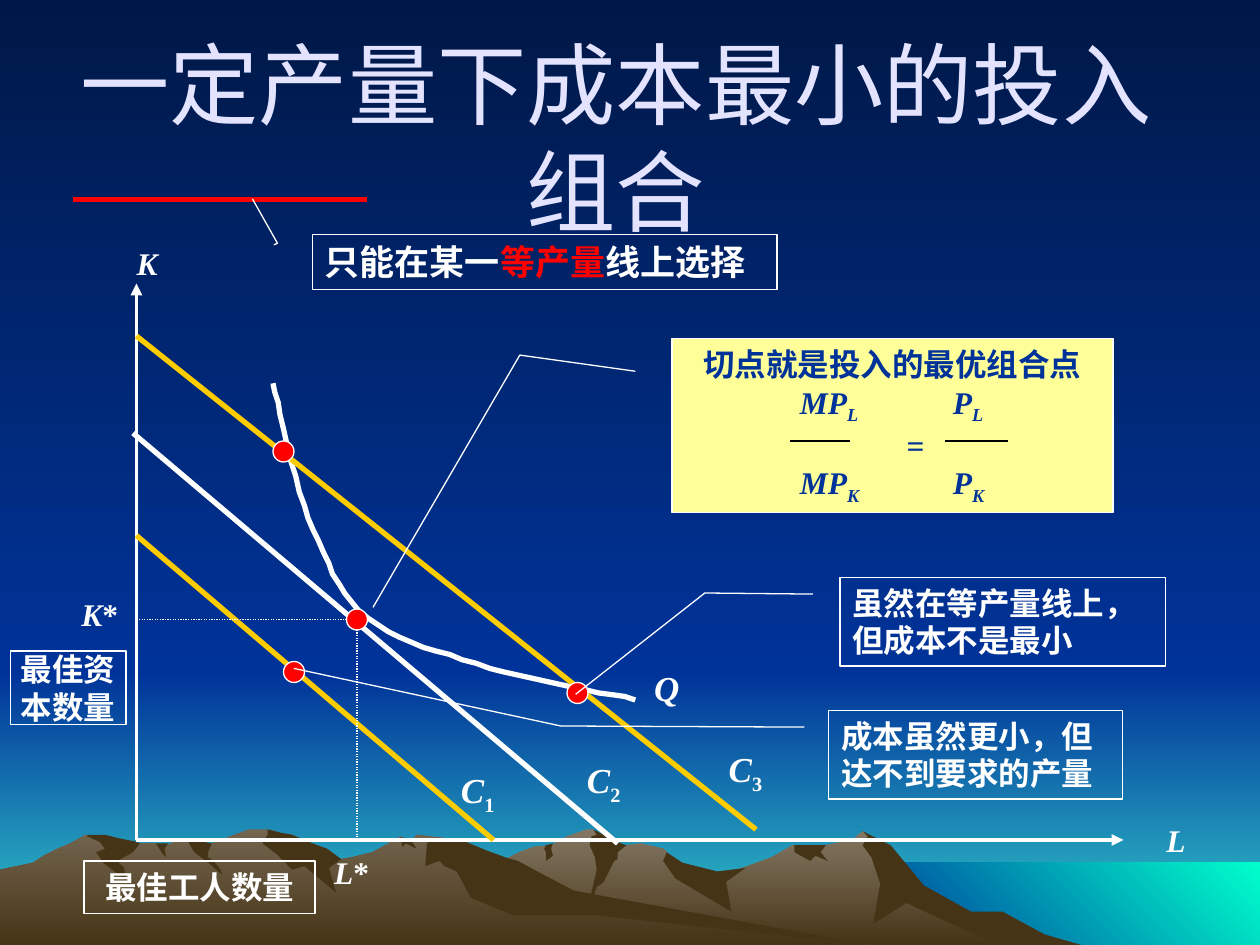
"""Build the slide on choosing the least-cost input mix for a given output."""
import dataclasses

import lxml.etree
import pptx
import pptx.dml.color
import pptx.enum.dml
import pptx.enum.shapes
import pptx.enum.text
import pptx.oxml.ns
import pptx.util

Pt = pptx.util.Pt
SHAPE = pptx.enum.shapes.MSO_SHAPE
ALIGN = pptx.enum.text.PP_ALIGN
ANCHOR = pptx.enum.text.MSO_ANCHOR
SIZING = pptx.enum.text.MSO_AUTO_SIZE
qn = pptx.oxml.ns.qn


@dataclasses.dataclass(frozen=True)
class Theme:
    night: str = "001847"
    blue: str = "003399"
    teal: str = "33CCCC"
    aqua: str = "00FFCC"
    rock: str = "463416"
    light_rock: str = "847864"
    mid_rock: str = "73654F"
    lilac: str = "E3E3FF"
    white: str = "FFFFFF"
    gold: str = "FFCC00"
    red: str = "FF0000"
    cream: str = "FFFF99"
    black: str = "000000"
    title_size: int = 51
    label_size: int = 20
    note_size: int = 18
    title_font: str = "Arial"
    body_font: str = "Times New Roman"
    thin: float = 0.75
    axis: float = 2.25
    thick: float = 3


class SlideBuilder:
    def __init__(self, slide, theme):
        self.slide, self.theme = slide, theme

    def rgb(self, value):
        return pptx.dml.color.RGBColor.from_string(value)

    def paint(self, fill, colour, angle=270):
        if colour is None:
            fill.background()
        elif isinstance(colour, str):
            fill.solid()
            fill.fore_color.rgb = self.rgb(colour)
        else:
            fill.gradient()
            fill.gradient_angle = angle
            for stop, value in zip(fill.gradient_stops, colour):
                stop.color.rgb = self.rgb(value)

    def finish(self, shape, fill=None, line=None, width=0.75, angle=270):
        shape.shadow.inherit = False
        self.paint(shape.fill, fill, angle)
        self.paint(shape.line.fill, line)
        if line:
            shape.line.width = Pt(width)
        return shape

    def shape(self, kind, frame, adjustments=(), **look):
        shape = self.slide.shapes.add_shape(kind, *map(Pt, frame))
        for index, value in enumerate(adjustments):
            shape.adjustments[index] = value
        return self.finish(shape, **look)

    def outline(self, points, close=True, **look):
        builder = self.slide.shapes.build_freeform(*points[0], scale=Pt(1))
        builder.add_line_segments(points[1:], close=close)
        return self.finish(builder.convert_to_shape(), **look)

    def curve(self, start, bends, steps=10, **look):
        points = [start]
        for bend in bends:
            knots = (points[-1], *bend)
            for step in range(1, steps + 1):
                t = step / steps
                weights = ((1 - t) ** 3, 3 * t * (1 - t) ** 2, 3 * t * t * (1 - t), t ** 3)
                points.append(tuple(sum(w * knot[axis] for w, knot in zip(weights, knots))
                                    for axis in (0, 1)))
        return self.outline(points, close=False, **look)

    def line(self, start, end, colour, width, arrow=False, dotted=False):
        line = self.slide.shapes.add_connector(
            pptx.enum.shapes.MSO_CONNECTOR.STRAIGHT, *map(Pt, (*start, *end)))
        self.paint(line.line.fill, colour)
        line.line.width = Pt(width)
        if dotted:
            line.line.dash_style = pptx.enum.dml.MSO_LINE.ROUND_DOT
        properties = line.element.spPr
        if arrow:
            lxml.etree.SubElement(properties.find(qn("a:ln")), qn("a:tailEnd"), type="triangle")
        lxml.etree.SubElement(properties, qn("a:effectLst"))

    def dot(self, x, y):
        self.shape(SHAPE.FLOWCHART_CONNECTOR, (x - 6, y - 6, 12, 12),
                   fill=self.theme.red, line=self.theme.white)

    def fill_text(self, box, paragraphs, align=ALIGN.CENTER, wrap=False, sizing=SIZING.NONE,
                  anchor=ANCHOR.MIDDLE, tabs=(), **formats):
        frame = box.text_frame
        layout = {"word_wrap": wrap, "auto_size": sizing, "vertical_anchor": anchor}
        for name, value in layout.items():
            setattr(frame, name, value)
        base = {"name": self.theme.body_font, "size": self.theme.note_size,
                "bold": True, "color": self.theme.white, **formats}
        for index, runs in enumerate(paragraphs):
            para = frame.add_paragraph() if index else frame.paragraphs[0]
            tabbed = runs[0][0].startswith("\t")
            para.alignment = ALIGN.LEFT if tabbed else align
            if tabbed:
                tab_list = lxml.etree.SubElement(
                    box.element.findall(".//" + qn("a:pPr"))[-1], qn("a:tabLst"))
                for stop in tabs[index]:
                    lxml.etree.SubElement(tab_list, qn("a:tab"), pos=str(Pt(stop)), algn="l")
            for text, changes in runs:
                span = para.add_run()
                span.text = text
                style = {**base, **changes}
                span.font.color.rgb = self.rgb(style.pop("color"))
                span.font.size = Pt(style.pop("size"))
                baseline = style.pop("baseline", None)
                for name, value in style.items():
                    setattr(span.font, name, value)
                if baseline:
                    box.element.findall(".//" + qn("a:rPr"))[-1].set("baseline", str(baseline))

    def text(self, frame, *runs, **style):
        self.fill_text(self.slide.shapes.add_textbox(*map(Pt, frame)), [runs], **style)

    def callout(self, frame, pointer, paragraphs, fill=None, align=ALIGN.LEFT, **style):
        box = self.shape(SHAPE.LINE_CALLOUT_2, frame, pointer, fill=fill, line=self.theme.white)
        self.fill_text(box, paragraphs, align, True, SIZING.SHAPE_TO_FIT_TEXT, ANCHOR.TOP, **style)

    def label_box(self, frame, *rows):
        box = self.shape(SHAPE.RECTANGLE, frame, line=self.theme.white)
        self.fill_text(box, [[(row, {})] for row in rows])


FRONT_HILL = [(577, 533), (560, 523), (550, 521), (521, 503), (505, 483), (493, 475), (487, 480), (472, 483), (453, 483), (441, 490), (408, 502), (386, 497), (381, 487), (379, 485), (366, 482), (358, 483), (350, 485), (341, 476), (339, 474), (335, 474), (324, 478), (315, 483), (305, 484), (297, 487), (287, 492), (256, 503), (235, 510), (199, 532), (186, 540), (591, 540)]
FRONT_SHADES = [
    [(573, 521), (555, 521), (528, 506), (509, 483), (493, 475), (496, 478), (493, 483), (498, 490), (503, 505), (499, 528), (518, 516), (570, 540), (618, 540), (597, 534)],
    [(339, 474), (341, 477), (338, 478), (337, 483), (340, 490), (341, 497), (335, 523), (341, 507), (345, 504), (351, 492), (353, 491), (353, 487), (358, 483), (355, 482)],
    [(381, 487), (379, 492), (386, 502), (418, 521), (415, 504), (426, 496), (410, 498), (390, 493)],
    [(468, 483), (454, 483), (454, 487), (463, 492), (466, 489), (473, 492), (469, 487), (472, 483)],
    [(312, 487), (311, 485), (312, 483), (316, 482), (315, 485), (316, 489), (312, 492)],
]
LEFT_HILL = [(497, 540), (480, 539), (311, 513), (255, 479), (238, 477), (235, 481), (233, 481), (229, 478), (213, 487), (201, 490), (195, 491), (187, 487), (170, 490), (161, 477), (158, 475), (153, 474), (142, 474), (134, 477), (121, 482), (115, 483), (107, 480), (103, 480), (95, 483), (92, 483), (89, 482), (80, 482), (68, 483), (49, 477), (40, 482), (33, 485), (25, 489), (19, 493), (10, 495), (0, 497), (0, 540)]
LEFT_SHADES = [
    [(153, 477), (150, 482), (158, 488), (167, 497), (174, 495), (192, 510), (188, 496), (195, 491), (187, 485), (176, 481), (167, 477), (161, 476), (153, 474)],
    [(266, 481), (255, 479), (248, 479), (244, 482), (243, 495), (251, 492), (254, 495), (261, 498), (269, 513), (293, 523), (340, 523), (497, 540), (328, 509), (307, 498), (296, 492), (289, 490), (278, 486)],
    [(229, 480), (230, 479), (229, 478), (233, 480), (235, 480), (238, 485), (232, 482), (230, 484)],
    [(111, 480), (121, 482), (119, 487), (119, 490), (122, 492), (126, 497), (127, 500), (119, 493), (111, 487), (107, 480)],
    [(96, 482), (94, 485), (95, 490), (93, 488), (91, 485), (89, 482)],
    [(78, 481), (80, 482), (76, 487), (67, 492), (71, 496), (72, 503), (59, 493), (55, 487), (60, 485), (57, 481), (50, 478), (50, 477), (60, 477), (68, 479)],
]


def draw_scenery(page, theme):
    page.paint(page.slide.background.fill, (theme.night, theme.blue))
    page.shape(SHAPE.RECTANGLE, (0, 384, 720, 156), fill=(theme.blue, theme.teal))
    page.shape(SHAPE.RECTANGLE, (0, 0, 720, 384), fill=(theme.night, theme.blue))
    page.shape(SHAPE.RECTANGLE, (492, 493, 228, 47), fill=(theme.blue, theme.aqua), angle=45)
    for hill, shades, light in ((FRONT_HILL, FRONT_SHADES, theme.light_rock),
                                (LEFT_HILL, LEFT_SHADES, theme.mid_rock)):
        page.outline(hill, fill=(light, theme.rock))
        for shade in shades:
            page.outline(shade, fill=theme.rock)


def draw_graph(page, theme):
    italic, below = {"italic": True}, {"baseline": -25000}
    origin = (78, 480)
    page.line((76, 247.5), (353, 482), theme.white, theme.thick)
    page.curve((155.5, 219), [((160, 232), (167, 273.5), (176.5, 296)),
                              ((186, 319), (193, 339), (210, 353)),
                              ((227.5, 367), (254, 373.5), (280, 381.5)),
                              ((305.5, 389.5), (345.5, 396), (363, 399.5))],
               line=theme.white, width=theme.thick)
    for end in ((642, 480), (78, 162)):
        page.line(origin, end, theme.white, theme.axis, arrow=True)
    for name, mark, frame in (("K", "", (54, 138, 60, 24)), ("L", "", (642, 468, 60, 24)),
                              ("K", "*", (42, 336, 30, 30)), ("L", "*", (180, 486, 42, 24))):
        page.text(frame, (name, italic), *([(mark, {})] if mark else []))
    for name, mark, frame in (("C", "1", (258, 444, 30, 18)), ("C", "2", (330, 438, 30, 18)),
                              ("C", "3", (414, 432, 24, 18)), ("Q", "", (366, 384, 30, 18))):
        page.text(frame, (name, italic), *([(mark, below)] if mark else []),
                  size=theme.label_size)
    for start, end in (((78, 306), (282, 480)), ((78, 192), (432, 474))):
        page.line(start, end, theme.gold, theme.thick)
    for start, end in (((78, 354), (198, 354)), ((204, 354), (204, 480))):
        page.line(start, end, theme.white, theme.thin, dotted=True)
    for centre in ((204, 354), (162, 258), (330, 396), (168, 384)):
        page.dot(*centre)


def draw_notes(page, theme):
    page.line((42, 114), (210, 114), theme.red, theme.thick)
    page.callout((178.5, 134, 265.5, 31.5), (0.188, -0.083, 0.161, -0.075, -0.648, -0.129),
                 [[("只能在某一", {}), ("等产量", {"color": theme.red}), ("线上选择", {})]],
                 size=theme.label_size)
    page.callout((480, 330, 186, 50.5), (0.188, -0.083, 0.176, -0.415, 1.322, -0.812),
                 [[("虽然在等产量线上，但成本不是最小", {})]])
    page.callout((473.5, 406, 168, 50.5), (0.188, -0.083, 0.176, -0.911, -0.476, -1.819),
                 [[("成本虽然更小，但达不到要求的产量", {})]])
    page.label_box((48, 492, 132, 30), "最佳工人数量")
    page.label_box((6, 372, 66, 42), "最佳资", "本数量")
    italic = {"italic": True}
    below = {"italic": True, "baseline": -25000}
    top, bottom = ([("\tMP", italic), (name, below), ("\tP", italic), (name, below)]
                   for name in "LK")
    columns = (66, 153.5)
    page.callout((384, 193.5, 252, 99.5), (0.188, -0.083, 0.095, -0.345, 1.544, -0.678),
                 [[("切点就是投入的最优组合点", {})], top, [("\t=", {})], bottom],
                 fill=theme.cream, align=ALIGN.CENTER, color=theme.blue,
                 tabs=((), columns, (127,), columns))
    for left, right in ((451.5, 485.5), (540, 576)):
        page.line((left, 252), (right, 252), theme.black, theme.thin)


def main():
    deck = pptx.Presentation()
    deck.slide_width, deck.slide_height = Pt(720), Pt(540)
    theme = Theme()
    page = SlideBuilder(deck.slides.add_slide(deck.slide_layouts[6]), theme)
    draw_scenery(page, theme)
    page.text((32, 48, 640, 60), ("一定产量下成本最小的投入组合", {}), wrap=True, bold=False,
              name=theme.title_font, size=theme.title_size, color=theme.lilac)
    draw_graph(page, theme)
    draw_notes(page, theme)
    deck.save("out.pptx")


if __name__ == "__main__":
    main()
